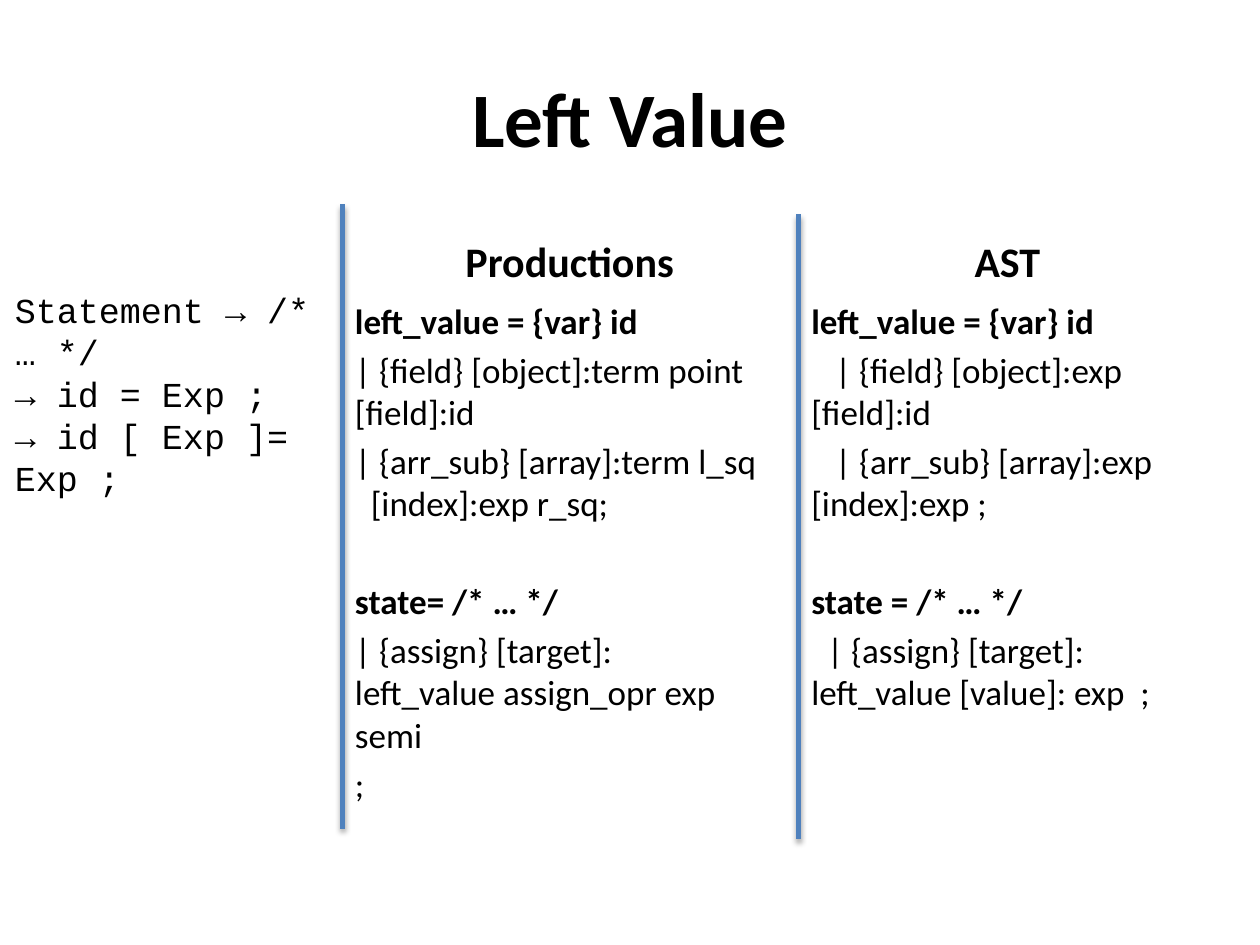
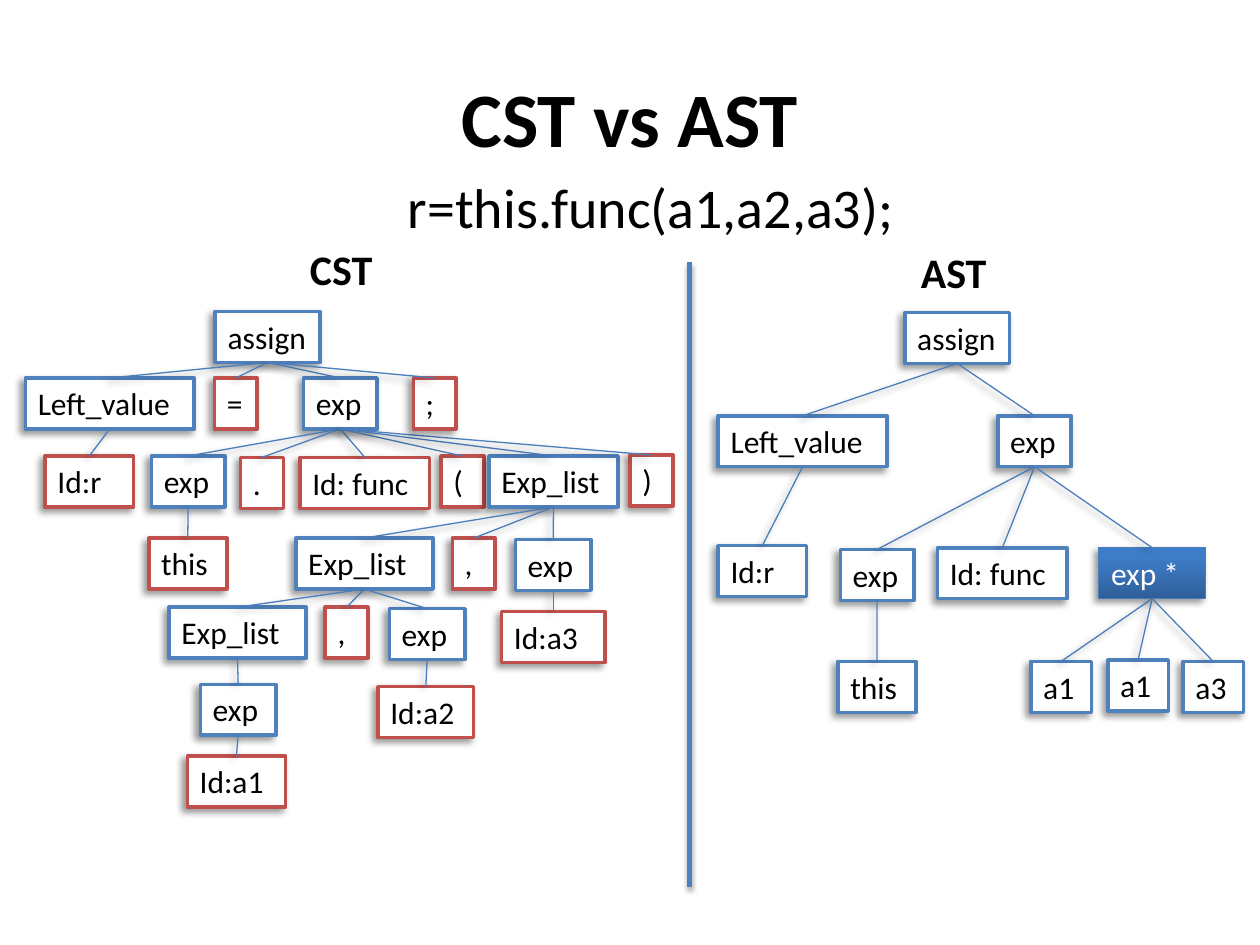
from lxml import etree
from pptx import Presentation
from pptx.dml.color import RGBColor
from pptx.enum.shapes import MSO_CONNECTOR, MSO_SHAPE
from pptx.enum.text import MSO_ANCHOR, MSO_AUTO_SIZE, PP_ALIGN
from pptx.oxml.ns import qn
from pptx.util import Pt

RECT, STRAIGHT = MSO_SHAPE.RECTANGLE, MSO_CONNECTOR.STRAIGHT
TOP, MIDDLE, BOTTOM = MSO_ANCHOR.TOP, MSO_ANCHOR.MIDDLE, MSO_ANCHOR.BOTTOM
LEFT, CENTER = PP_ALIGN.LEFT, PP_ALIGN.CENTER
GROW = MSO_AUTO_SIZE.SHAPE_TO_FIT_TEXT

COLORS = {"text": "000000", "paper": "FFFFFF", "rule": "4F81BD", "node": "4F81BD",
          "token": "C0504D", "edge": "4B7EBC", "dark": "2F5F99", "light": "3D7CC7"}
TITLE_BOX = (36, 21.6, 648, 90)
TITLE = {"size": Pt(44), "bold": True, "name": "Calibri"}
HEADING = {"size": Pt(24), "bold": True, "name": "Calibri"}
BODY = {"size": Pt(20), "bold": False, "name": "Calibri"}
STRONG = {**BODY, "bold": True}
CODE = {**BODY, "name": "Courier New"}
LABEL = {**BODY, "size": Pt(18)}
EXAMPLE = {**BODY, "size": Pt(32)}
RULE_SHADOW = (35, 3.1, 1.8, 90)
NODE_SHADOW = (40, 4, 3, 135)
RULE_HEIGHT, HEADING_HEIGHT, NODE_HEIGHT = 357, 50.4, 29.1

GRAMMAR = ["Statement → /* … */", "→ id = Exp\u00a0;", "→ id [ Exp ]= Exp\u00a0; "]
COLUMNS = [
    {"heading": "Productions", "heading_at": (218, 215), "body_at": (195.8, 244),
     "rule_top": 116.6,
     "lines": [("left_value = {var} id ", STRONG, 4, 0, 0),
               ("| {field} [object]:term point [field]:id", BODY, 4, 0, 0),
               ("| {arr_sub} [array]:term l_sq", BODY, 4, 0, 0),
               ("[index]:exp r_sq;", BODY, 0, 9, 0),
               ("state= /* … */", STRONG, 32, 0, 0),
               ("| {assign} [target]: left_value assign_opr exp semi", BODY, 4, 0, 0),
               (";", BODY, 4, 0, 0)]},
    {"heading": "AST", "heading_at": (484.6, 182), "body_at": (456.5, 250.5),
     "rule_top": 122.4,
     "lines": [("left_value = {var} id ", STRONG, 4, 0, 0),
               ("| {field} [object]:exp [field]:id", BODY, 4, 0, 13.6),
               ("| {arr_sub} [array]:exp [index]:exp ;", BODY, 4, 0, 13.6),
               ("state = /* … */", STRONG, 32, 0, 0),
               ("| {assign} [target]: left_value [value]: exp  ;", BODY, 4, 0, 9)]},
]

TREE_HEADINGS = [("CST", 36, 121), ("AST", 386, 122.6)]
CST = ("assign", "node", 123, 178, 60, [
    ("Left_value", "node", 14.5, 216, 96.5, [("Id:r", "token", 25.8, 260.6, 50.5, [])]),
    ("=", "token", 122.5, 216, 24.5, []),
    ("exp", "node", 173.5, 216, 42, [
        ("exp", "node", 86.5, 260.6, 42, [("this", "token", 85, 307.5, 44.6, [])]),
        (".", "token", 137.5, 261.4, 24.5, []),
        ("Id: func", "token", 171.4, 261.4, 74.2, []),
        ("(", "token", 252, 260.6, 24.5, []),
        ("Exp_list", "node", 279.4, 260.6, 73.8, [
            ("Exp_list", "node", 169, 307.5, 78.5, [
                ("Exp_list", "node", 96.5, 347, 78.5, [
                    ("exp", "node", 114.5, 391, 43.2, [
                        ("Id:a1", "token", 107, 432, 56.2, [])])]),
                (",", "token", 185.8, 347, 24.5, []),
                ("exp", "node", 222.5, 347.8, 43.2, [
                    ("Id:a2", "token", 216, 392.4, 54.7, [])])]),
            (",", "token", 258.5, 307.5, 24.5, []),
            ("exp", "node", 294.5, 308.2, 43.2, [
                ("Id:a3", "token", 286.6, 349.5, 59, [])])]),
        (")", "token", 360, 260, 24.5, [])]),
    (";", "token", 236.2, 216, 24.5, [])])
AST = ("assign", "node", 517, 178.6, 60, [
    ("Left_value", "node", 410.4, 237.6, 96.5, [("Id:r", "node", 410.4, 311.8, 50.5, [])]),
    ("exp", "node", 570.2, 237.6, 42, [
        ("exp", "node", 480.2, 314, 42, [("this", "node", 478.8, 378, 44.6, [])]),
        ("Id: func", "node", 535.7, 313, 74.2, []),
        ("exp *", "filled", 627.8, 313, 61.2, [
            ("a1", "node", 589, 378, 34.6, []),
            ("a1", "node", 633, 377.3, 34.6, []),
            ("a3", "node", 676, 378, 34.6, [])])])])


def rgb(name):
    return RGBColor.from_string(COLORS[name])


def place(sp, box):
    for key, value in zip(("left", "top", "width", "height"), box):
        setattr(sp, key, Pt(value))


def write(p, text, font, color="text", align=LEFT):
    p.alignment = align
    r = p.add_run()
    r.text = text
    for key, value in font.items():
        setattr(r.font, key, value)
    r.font.color.rgb = rgb(color)


def indent(p, margin, first):
    pPr = p._p.get_or_add_pPr()
    pPr.set("marL", str(Pt(margin)))
    pPr.set("indent", str(Pt(first)))


def add_shadow(sp, alpha, blur, distance, angle):
    spPr = sp._element.spPr
    for old in spPr.findall(qn("a:effectLst")):
        spPr.remove(old)
    effects = etree.SubElement(spPr, qn("a:effectLst"))
    shadow = etree.SubElement(effects, qn("a:outerShdw"), blurRad=str(Pt(blur)),
                              dist=str(Pt(distance)), dir=str(angle * 60000), rotWithShape="0")
    color = etree.SubElement(shadow, qn("a:srgbClr"), val=COLORS["text"])
    etree.SubElement(color, qn("a:alpha"), val=str(alpha * 1000))


def add_title_slide(prs, title):
    s = prs.slides.add_slide(prs.slide_layouts[5])
    place(s.shapes.title, TITLE_BOX)
    tf = s.shapes.title.text_frame
    tf.vertical_anchor = MIDDLE
    write(tf.paragraphs[0], title, TITLE, align=CENTER)
    return s


def add_text(s, box, lines, font, anchor=TOP, align=LEFT, wrap=True):
    sp = s.shapes.add_textbox(*map(Pt, box))
    tf = sp.text_frame
    tf.word_wrap, tf.vertical_anchor = wrap, anchor
    for i, line in enumerate(lines):
        p = tf.add_paragraph() if i else tf.paragraphs[0]
        write(p, line, font, align=align)
    return tf


def add_heading(s, text, left, top, width):
    add_text(s, (left, top, width, HEADING_HEIGHT), [text], HEADING, BOTTOM, CENTER)


def add_line(s, ends, color, width, shadow):
    c = s.shapes.add_connector(STRAIGHT, *map(Pt, ends))
    c.line.color.rgb, c.line.width = rgb(color), Pt(width)
    add_shadow(c, *shadow)
    return c


def add_rule(s, x, top):
    add_line(s, (x, top, x, top + RULE_HEIGHT), "rule", 3, RULE_SHADOW)


def add_node(s, label, kind, left, top, width):
    sp = s.shapes.add_shape(RECT, *map(Pt, (left, top, width, NODE_HEIGHT)))
    filled = kind == "filled"
    if filled:
        sp.fill.gradient()
        sp.fill.gradient_angle = 90
        for stop, name, position in zip(sp.fill.gradient_stops, ("dark", "light"), (0, 0.8)):
            stop.color.rgb, stop.position = rgb(name), position
    else:
        sp.fill.solid()
        sp.fill.fore_color.rgb = rgb("paper")
    sp.line.color.rgb = rgb("edge" if filled else kind)
    sp.line.width = Pt(0.75 if filled else 2)
    add_shadow(sp, *NODE_SHADOW)
    tf = sp.text_frame
    tf.word_wrap, tf.vertical_anchor, tf.auto_size = True, TOP, GROW
    write(tf.paragraphs[0], label, LABEL, "paper" if filled else "text")
    return sp


def add_tree(s, tree):
    *node, children = tree
    parent = add_node(s, *node)
    for child in children:
        sp = add_tree(s, child)
        c = add_line(s, (0, 0, 0, 0), "edge", 0.75, NODE_SHADOW)
        c.begin_connect(parent, 2)
        c.end_connect(sp, 0)
    return parent


prs = Presentation()
prs.slide_width, prs.slide_height = Pt(720), Pt(540)

s = add_title_slide(prs, "Left Value")
for column in COLUMNS:
    left, width = column["heading_at"]
    add_heading(s, column["heading"], left, 116.6, width)
    left, width = column["body_at"]
    lines = column["lines"]
    tf = add_text(s, (left, 167.8, width, 311), [], BODY)
    for i, (text, font, space, margin, first) in enumerate(lines):
        p = tf.add_paragraph() if i else tf.paragraphs[0]
        p.space_before = Pt(space)
        write(p, text, font)
        indent(p, margin, first)
    add_rule(s, left, column["rule_top"])
add_text(s, (1.4, 185, 193.7, 80), GRAMMAR, CODE, MIDDLE)

s = add_title_slide(prs, "CST vs AST")
for text, left, top in TREE_HEADINGS:
    add_heading(s, text, left, top, 318)
for tree in (CST, AST):
    add_tree(s, tree)
add_text(s, (226, 95, 295, 46), ["r=this.func(a1,a2,a3);"], EXAMPLE, wrap=False)
add_rule(s, 393.8, 149.8)

prs.save("out.pptx")
